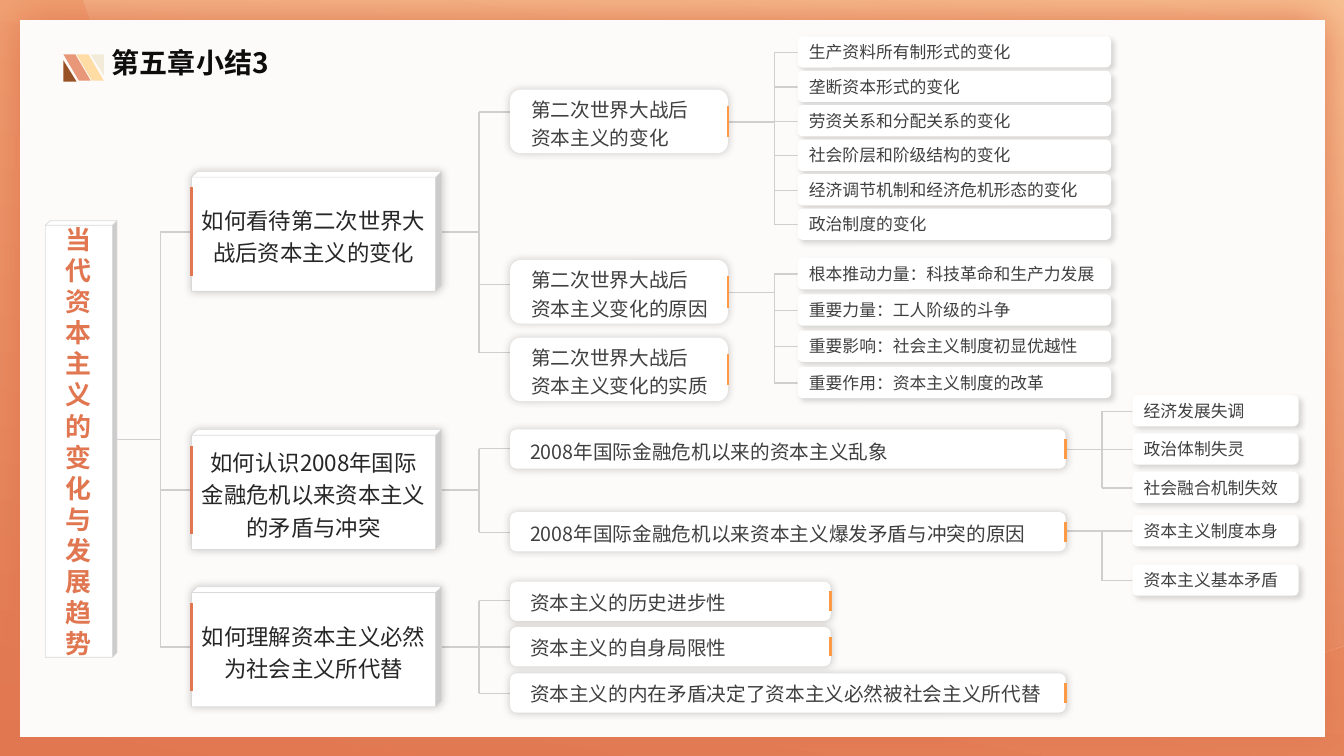
import lxml.etree
import pptx
import pptx.dml.color
import pptx.enum.shapes
import pptx.enum.text
import pptx.oxml.ns
import pptx.util

Inches = pptx.util.Inches
Pt = pptx.util.Pt
RGBColor = pptx.dml.color.RGBColor
Shape = pptx.enum.shapes.MSO_SHAPE
Align = pptx.enum.text.PP_ALIGN
Anchor = pptx.enum.text.MSO_ANCHOR
qn = pptx.oxml.ns.qn

WHITE = RGBColor(0xFF, 0xFF, 0xFF)
BLACK = RGBColor(0x00, 0x00, 0x00)
CORAL = RGBColor(0xE1, 0x77, 0x51)
PEACH = RGBColor(0xF4, 0xAD, 0x7D)
SAND = RGBColor(0xFD, 0xD5, 0xA6)
PAPER = RGBColor(0xFD, 0xFB, 0xF9)
ORANGE = RGBColor(0xFE, 0x99, 0x46)
GREY_LINE = RGBColor(0xD0, 0xCE, 0xCE)
GREY_EDGE = RGBColor(0xD9, 0xD9, 0xD9)
TITLE_INK = RGBColor(0x0D, 0x0D, 0x0D)
DARK_INK = RGBColor(0x26, 0x26, 0x26)
INK = RGBColor(0x40, 0x40, 0x40)
YELLOW = RGBColor(0xFE, 0xDC, 0xA3)
CREAM = RGBColor(0xF2, 0xEB, 0xD9)
SALMON = RGBColor(0xE8, 0x97, 0x79)
BROWN = RGBColor(0x98, 0x51, 0x25)

NODE_SHADOW = (BLACK, 20, 6, 0, 315)
LEAF_SHADOW = (BLACK, 15, 4, 3, 45)


class MindMap:
    font = "Noto Sans CJK SC"

    def __init__(self, page):
        self.page = page

    def add_shadow(self, shape, color, alpha, blur, distance, angle):
        effects = shape.element.spPr.find(qn("a:effectLst"))
        outer = lxml.etree.SubElement(
            effects, qn("a:outerShdw"), blurRad=str(Pt(blur)), dist=str(Pt(distance)),
            dir=str(angle * 60000), algn="ctr", rotWithShape="0")
        tint = lxml.etree.SubElement(outer, qn("a:srgbClr"), val=str(color))
        lxml.etree.SubElement(tint, qn("a:alpha"), val=str(alpha * 1000))

    def shape(self, kind, left, top, width, height, fill=WHITE, edge=None,
              shadow=None, adjust=None, flips=()):
        shape = self.page.shapes.add_shape(
            kind, Inches(left), Inches(top), Inches(width), Inches(height))
        shape.shadow.inherit = False
        shape.fill.solid()
        shape.fill.fore_color.rgb = fill
        if edge is None:
            shape.line.fill.background()
        else:
            shape.line.color.rgb = edge
            shape.line.width = Pt(0.5)
        if shadow:
            self.add_shadow(shape, *shadow)
        if adjust is not None:
            shape.adjustments[0] = adjust
        for flip in flips:
            shape.element.spPr.xfrm.set(flip, "1")
        return shape

    def gradient(self, shape, last, alpha=100):
        shape.fill.gradient()
        shape.fill.gradient_angle = 80
        for stop, color, position in zip(shape.fill.gradient_stops, (CORAL, last), (0, 1)):
            stop.color.rgb = color
            stop.position = position
        if alpha < 100:
            tints = list(shape.element.spPr.iter(qn("a:srgbClr")))
            lxml.etree.SubElement(tints[-1], qn("a:alpha"), val=str(alpha * 1000))

    def curve(self, points, fill, alpha):
        start, *rest = [(Inches(x), Inches(y)) for x, y in points]
        builder = self.page.shapes.build_freeform(*start)
        builder.add_line_segments(rest, close=True)
        shape = builder.convert_to_shape()
        shape.shadow.inherit = False
        shape.line.fill.background()
        self.gradient(shape, fill, alpha)

    def line(self, x1, y1, x2, y2, color=GREY_LINE, width=1):
        line = self.page.shapes.add_connector(
            pptx.enum.shapes.MSO_CONNECTOR.STRAIGHT,
            Inches(x1), Inches(y1), Inches(x2), Inches(y2))
        line.line.color.rgb = color
        line.line.width = Pt(width)
        lxml.etree.SubElement(line.element.spPr, qn("a:effectLst"))

    def text(self, shape, text, size, color, align=Align.LEFT, bold=False,
             spacing=1.0, indent=0, anchor=Anchor.MIDDLE):
        frame = shape.text_frame
        frame.word_wrap = True
        frame.vertical_anchor = anchor
        frame.text = text
        for para in frame.paragraphs:
            para.alignment = align
            para.line_spacing = spacing
            if indent:
                properties = para._p.get_or_add_pPr()
                properties.set("marL", str(Inches(indent)))
                properties.set("indent", "0")
            para.font.name = self.font
            para.font.size = Pt(size)
            para.font.bold = bold
            para.font.color.rgb = color
            defaults = para._p.pPr.find(qn("a:defRPr"))
            lxml.etree.SubElement(defaults, qn("a:ea"), typeface=self.font)

    def title(self, text, left, top, width, height):
        title = self.page.shapes.title
        title.element.getparent().append(title.element)
        title.left, title.top = Inches(left), Inches(top)
        title.width, title.height = Inches(width), Inches(height)
        title.text_frame.auto_size = pptx.enum.text.MSO_AUTO_SIZE.NONE
        title.text_frame.margin_top = 0
        self.text(title, text, 20, TITLE_INK, bold=True, anchor=Anchor.TOP)

    def branch(self, start, spine, end, trunk, rows):
        self.line(start, trunk, spine, trunk)
        self.line(spine, min(rows), spine, max(rows))
        for row in rows:
            self.line(spine, row, end, row)

    def root(self, text):
        box = self.shape(Shape.CUBE, 0.45, 2.19, 0.71, 4.33, edge=GREY_EDGE, adjust=0.063)
        self.text(box, text, 18.5, CORAL, Align.CENTER, bold=True)

    def topic(self, top, text):
        box = self.shape(Shape.CUBE, 1.9, top, 2.48, 1.19, edge=GREY_EDGE,
                         shadow=NODE_SHADOW, adjust=0.048)
        self.text(box, text, 16, DARK_INK, Align.CENTER, spacing=1.2)
        self.line(1.9, top + 0.16, 1.9, top + 1.04, CORAL, 2)

    def node(self, top, width, height, spacing, text):
        box = self.shape(Shape.ROUNDED_RECTANGLE, 5.06, top, width, height, shadow=NODE_SHADOW)
        self.text(box, text, 14, INK, spacing=spacing, indent=0.08)
        right = 5.06 + width
        self.line(right, top + height / 4, right, top + height * 3 / 4, ORANGE, 2)

    def leaves(self, start, spine, left, width, trunk, first, step, texts):
        rows = [first + step * index for index in range(len(texts))]
        self.branch(start, spine, left + 0.05, trunk, rows)
        for row, text in zip(rows, texts):
            box = self.shape(Shape.ROUNDED_RECTANGLE, left, row - 0.16, width, 0.31,
                             shadow=LEAF_SHADOW)
            self.text(box, text, 12, INK)


def bezier(p0, p1, p2, p3, steps=16):
    for index in range(1, steps + 1):
        t = index / steps
        weights = ((1 - t) ** 3, 3 * t * (1 - t) ** 2, 3 * t * t * (1 - t), t ** 3)
        yield tuple(sum(w * p[axis] for w, p in zip(weights, (p0, p1, p2, p3)))
                    for axis in (0, 1))


def main():
    deck = pptx.Presentation()
    deck.slide_width, deck.slide_height = Inches(13.33), Inches(7.5)
    page = deck.slides.add_slide(deck.slide_layouts[5])
    mind_map = MindMap(page)

    mind_map.gradient(mind_map.shape(Shape.RECTANGLE, 0, 0, 13.33, 7.5), PEACH)
    outline = [(0.83, 0), (13.33, 0), (13.33, 6.4), (13.15, 6.46)]
    outline += bezier((13.15, 6.46), (12.22, 6.75), (11.24, 6.9), (10.22, 6.9))
    outline += bezier((10.22, 6.9), (5.97, 6.9), (2.36, 4.21), (0.98, 0.44))
    mind_map.curve(outline, SAND, 50)
    mind_map.shape(Shape.RECTANGLE, 0.2, 0.2, 12.94, 7.11, PAPER, shadow=(CORAL, 100, 30, 0, 0))

    mind_map.title("第五章小结3", 1.01, 0.45, 1.86, 0.77)
    for left, color in ((0.76, YELLOW), (0.63, SALMON)):
        mind_map.shape(Shape.PARALLELOGRAM, left, 0.54, 0.27, 0.26, color,
                       adjust=0.585, flips=("flipH",))
    mind_map.shape(Shape.RIGHT_TRIANGLE, 0.9, 0.54, 0.13, 0.21, CREAM, flips=("flipH", "flipV"))
    mind_map.shape(Shape.RIGHT_TRIANGLE, 0.63, 0.6, 0.13, 0.21, BROWN)

    mind_map.branch(1.15, 1.59, 1.9, 4.36, (2.3, 4.86, 6.42))
    for trunk, rows in ((2.3, (1.11, 2.82, 3.5)), (4.86, (4.45, 5.28)),
                        (6.42, (5.96, 6.42, 6.88))):
        mind_map.branch(3.07, 4.75, 5.06, trunk, rows)

    mind_map.root("当代资本主义的变化与发展趋势")
    for top, text in ((1.7, "如何看待第二次世界大战后资本主义的变化"),
                      (4.26, "如何认识2008年国际金融危机以来资本主义的矛盾与冲突"),
                      (5.82, "如何理解资本主义必然为社会主义所代替")):
        mind_map.topic(top, text)

    wide, narrow = (7.91, 3.11), (11.23, 1.65)
    mind_map.leaves(6.87, 7.68, *wide, 1.21, 0.52, 0.342, (
        "生产资料所有制形式的变化", "垄断资本形式的变化", "劳资关系和分配关系的变化",
        "社会阶层和阶级结构的变化", "经济调节机制和经济危机形态的变化", "政治制度的变化"))
    mind_map.leaves(7.22, 7.68, *wide, 2.9, 2.72, 0.36, (
        "根本推动力量：科技革命和生产力发展", "重要力量：工人阶级的斗争",
        "重要影响：社会主义制度初显优越性", "重要作用：资本主义制度的改革"))
    mind_map.leaves(10.1, 10.93, *narrow, 4.46, 4.08, 0.38, (
        "经济发展失调", "政治体制失灵", "社会融合机制失效"))
    mind_map.leaves(10.1, 10.93, *narrow, 5.27, 5.27, 0.49, (
        "资本主义制度本身", "资本主义基本矛盾"))

    for top, ending in ((0.89, "的变化"), (2.58, "变化的原因"), (3.35, "变化的实质")):
        mind_map.node(top, 2.16, 0.63, 1.2, "第二次世界大战后\n资本主义" + ending)
    for top, width, spacing, text in (
            (4.26, 5.51, 1.2, "2008年国际金融危机以来的资本主义乱象"),
            (5.08, 5.51, 1.2, "2008年国际金融危机以来资本主义爆发矛盾与冲突的原因"),
            (5.77, 3.18, 1.1, "资本主义的历史进步性"),
            (6.22, 3.18, 1.1, "资本主义的自身局限性"),
            (6.68, 5.51, 1.1, "资本主义的内在矛盾决定了资本主义必然被社会主义所代替")):
        mind_map.node(top, width, 0.39, spacing, text)

    deck.save("out.pptx")


if __name__ == "__main__":
    main()
